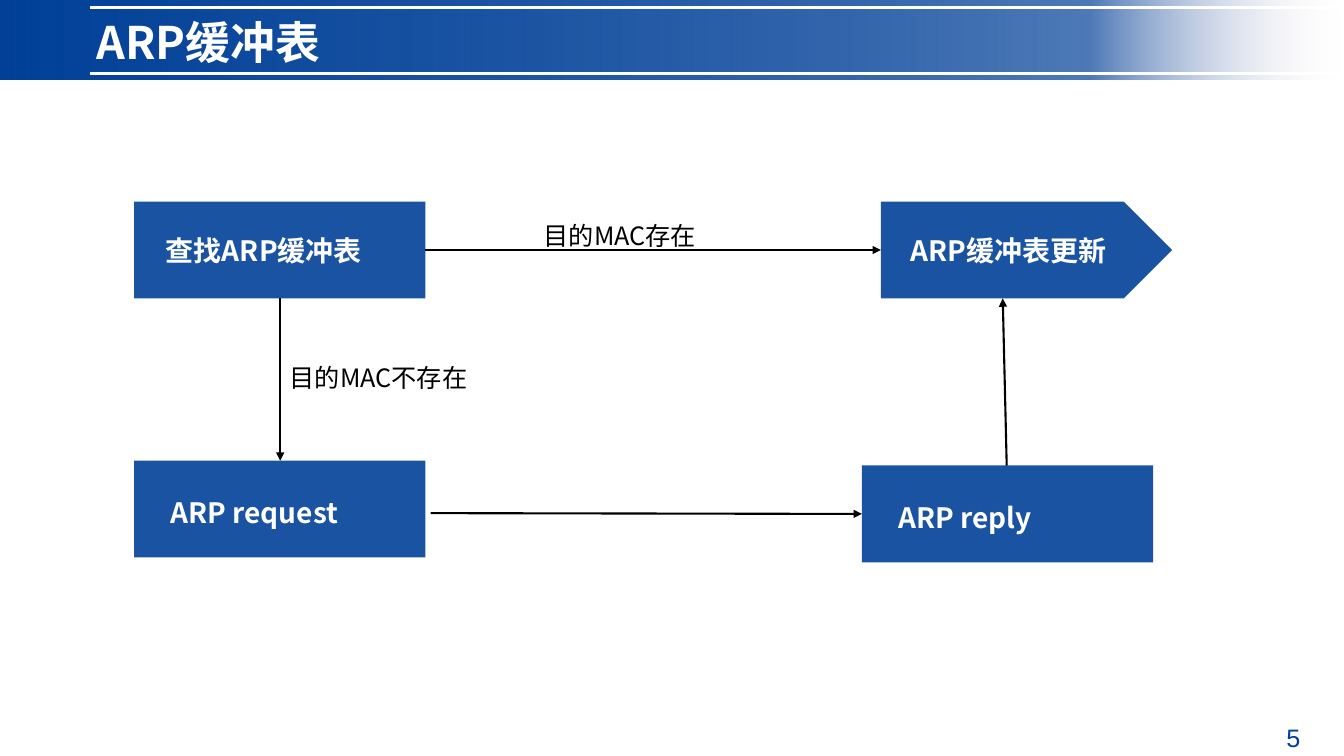
from dataclasses import dataclass

from lxml import etree
from pptx import Presentation
from pptx import util as u
from pptx.dml.color import RGBColor
from pptx.enum import shapes, text
from pptx.oxml.ns import qn

COLORS = {"white": "FFFFFF", "black": "000000", "node": "1A53A2", "navy": "004098"}
# position in percent, colour, opacity in percent
BAND_STOPS = [(0, "004098", 100), (37, "1A53A2", 100), (64, "3366AC", 100),
              (81, "4D79B7", 100), (100, "FEF2F3", 0)]
CJK_FONT = "Noto Sans CJK SC"
NODE_WIDTH, NODE_HEIGHT = 7.34, 2.44


@dataclass
class Node:
    caption: str
    left: float
    top: float
    indent: float
    drop: float
    preset: shapes.MSO_SHAPE = shapes.MSO_SHAPE.RECTANGLE


@dataclass
class Label:
    caption: str
    left: float
    top: float
    width: float


@dataclass
class Line:
    x1: float
    y1: float
    x2: float
    y2: float
    color: str = "black"
    weight: float = 1.5
    arrow: bool = True


NODES = [
    Node("查找ARP缓冲表", 3.38, 5.08, 0.8, 0),
    Node("ARP缓冲表更新", 22.2, 5.08, 0.75, 0, shapes.MSO_SHAPE.PENTAGON),
    Node("ARP request", 3.38, 11.61, 0.92, 0.18),
    Node("ARP reply", 21.72, 11.73, 0.92, 0.18),
]
LABELS = [Label("目的MAC存在", 13.34, 5.41, 4.57), Label("目的MAC不存在", 6.85, 8.99, 5.38)]
ARROWS = [
    Line(10.72, 6.3, 22.2, 6.3),
    Line(7.06, 7.52, 7.06, 11.61),
    Line(10.85, 12.93, 21.72, 12.95),
    Line(25.37, 11.73, 25.27, 7.52),
]
BAND_RULES = [Line(2.26, y, 33.81, y, "white", 2.25, False) for y in (0.18, 1.85)]


def rgb(name: str) -> RGBColor:
    return RGBColor.from_string(COLORS[name])


def write(frame, caption: str, size: float, color: str, bold: bool = False,
          align=text.PP_ALIGN.LEFT, anchor=text.MSO_ANCHOR.TOP,
          left: float = 0.25, top: float = 0.13, font: str = CJK_FONT) -> None:
    frame.word_wrap = True
    frame.auto_size = text.MSO_AUTO_SIZE.NONE
    frame.vertical_anchor = anchor
    frame.margin_left, frame.margin_right = u.Cm(left), u.Cm(0.25)
    frame.margin_top, frame.margin_bottom = u.Cm(top), u.Cm(0)
    paragraph = frame.paragraphs[0]
    paragraph.alignment = align
    run = paragraph.add_run()
    run.text = caption
    run.font.name, run.font.size, run.font.bold = font, u.Pt(size), bold
    run.font.color.rgb = rgb(color)
    latin = run.font._element.find(qn("a:latin"))
    east_asian = etree.Element(qn("a:ea"), typeface=font)
    latin.addnext(east_asian)


def draw_shape(slide, preset, left: float, top: float, width: float, height: float):
    shape = slide.shapes.add_shape(preset, u.Cm(left), u.Cm(top), u.Cm(width), u.Cm(height))
    shape.shadow.inherit = False
    shape.line.fill.background()
    return shape


def draw_band(slide) -> None:
    band = draw_shape(slide, shapes.MSO_SHAPE.FLOWCHART_PROCESS, 0, 0, 33.87, 2.01)
    band.fill.gradient()
    band.fill.gradient_angle = 0
    stops = band.element.spPr.find(qn("a:gradFill")).find(qn("a:gsLst"))
    for stop in list(stops):
        stops.remove(stop)
    for position, color, opacity in BAND_STOPS:
        stop = etree.SubElement(stops, qn("a:gs"), pos=str(position * 1000))
        fill = etree.SubElement(stop, qn("a:srgbClr"), val=color)
        if opacity < 100:
            etree.SubElement(fill, qn("a:alpha"), val=str(opacity * 1000))


def draw_line(slide, line: Line) -> None:
    connector = slide.shapes.add_connector(
        shapes.MSO_CONNECTOR.STRAIGHT,
        u.Cm(line.x1), u.Cm(line.y1), u.Cm(line.x2), u.Cm(line.y2))
    connector.line.color.rgb = rgb(line.color)
    connector.line.width = u.Pt(line.weight)
    properties = connector.element.spPr
    if line.arrow:
        etree.SubElement(properties.find(qn("a:ln")), qn("a:tailEnd"), type="triangle")
    etree.SubElement(properties, qn("a:effectLst"))


def draw_node(slide, node: Node) -> None:
    shape = draw_shape(slide, node.preset, node.left, node.top, NODE_WIDTH, NODE_HEIGHT)
    shape.fill.solid()
    shape.fill.fore_color.rgb = rgb("node")
    write(shape.text_frame, node.caption, 20, "white", bold=True,
          anchor=text.MSO_ANCHOR.MIDDLE, left=node.indent, top=node.drop)


def draw_label(slide, label: Label) -> None:
    box = slide.shapes.add_textbox(
        u.Cm(label.left), u.Cm(label.top), u.Cm(label.width), u.Cm(1.02))
    write(box.text_frame, label.caption, 18, "black", align=text.PP_ALIGN.CENTER)


def main() -> None:
    deck = Presentation()
    deck.slide_width, deck.slide_height = u.Cm(33.87), u.Cm(19.05)
    slide = deck.slides.add_slide(deck.slide_layouts[5])

    # Header band with its two rules
    draw_band(slide)
    for rule in BAND_RULES:
        draw_line(slide, rule)

    # Title, brought in front of the band
    title = slide.shapes.title
    title.left, title.top = u.Cm(2.18), u.Cm(0.23)
    title.width, title.height = u.Cm(26.19), u.Cm(1.63)
    write(title.text_frame, "ARP缓冲表", 32, "white", bold=True)
    title.element.getparent().append(title.element)

    # Lookup flow
    for node in NODES:
        draw_node(slide, node)
    for arrow in ARROWS:
        draw_line(slide, arrow)
    for label in LABELS:
        draw_label(slide, label)

    # Page number
    page = slide.shapes.add_textbox(u.Cm(30.15), u.Cm(18.11), u.Cm(2.87), u.Cm(0.97))
    write(page.text_frame, "5", 18, "navy", align=text.PP_ALIGN.RIGHT,
          anchor=text.MSO_ANCHOR.MIDDLE, top=0, font="Arial")

    deck.save("out.pptx")


if __name__ == "__main__":
    main()
